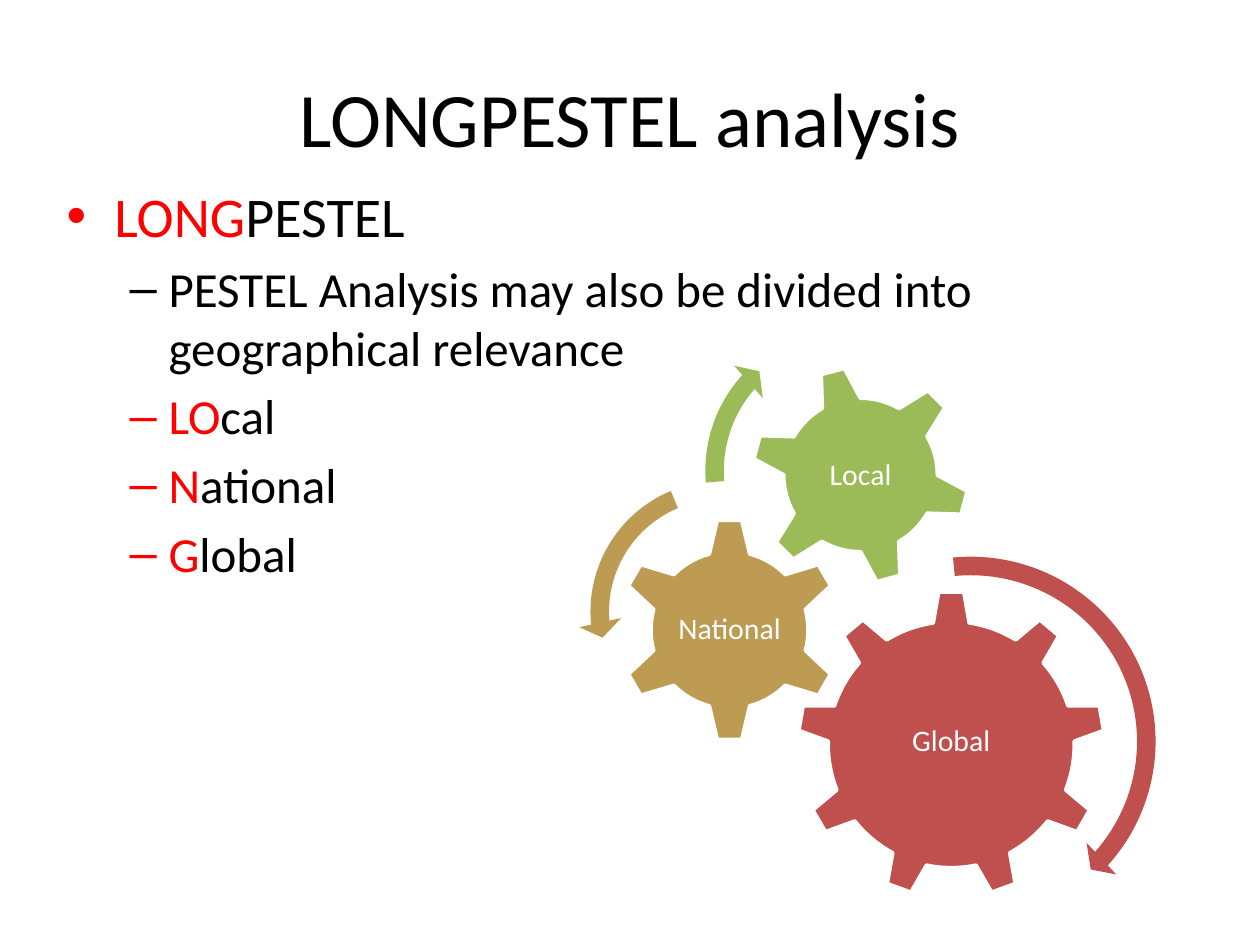
from lxml.etree import SubElement
from pptx import Presentation
from pptx.dml.color import RGBColor
from pptx.enum.shapes import MSO_SHAPE as Preset
from pptx.enum.text import MSO_ANCHOR as Anchor, PP_ALIGN as Align
from pptx.oxml.ns import qn
from pptx.util import Inches, Pt

COLORS = {"black": "000000", "white": "FFFFFF", "accent": "FF0000",
          "global": "C0504D", "national": "BD9B53", "local": "9BBB59"}
FONT = "Calibri"

TITLE = "LONGPESTEL analysis"
# level, highlighted start, remaining text
BULLETS = [
    (0, "LONG", "PESTEL"),
    (1, "", "PESTEL Analysis may also be divided into geographical relevance"),
    (1, "LO", "cal"),
    (1, "N", "ational"),
    (1, "G", "lobal"),
]
# bullet sign, text size, left margin, hanging indent for each level
LEVELS = [("•", 32, 0.38, 0.38), ("–", 28, 0.81, 0.31)]

# label, colour, preset, (left, top, side), rotation, label box
GEARS = [
    ("Global", "global", Preset.GEAR_9, (6.33, 4.69, 2.44), 0, (6.82, 5.26, 1.46, 1.26)),
    ("National", "national", Preset.GEAR_6, (4.9, 4.11, 1.78), 0, (5.35, 4.56, 0.88, 0.88)),
    ("Local", "local", Preset.GEAR_6, (5.96, 2.9, 1.74), 345, (6.34, 3.29, 0.98, 0.98)),
]
# colour, preset, (left, top, side), band %, three angles in degrees, head %
ARROWS = [
    ("global", Preset.CIRCULAR_ARROW, (6.14, 4.32, 3.13), 4.7, (4.98, 41.89, 264.47), 5.5),
    ("national", Preset.LEFT_CIRCULAR_ARROW, (4.59, 3.72, 2.27), 6.5, (7.17, 174.82, 247.3), 7.5),
    ("local", Preset.CIRCULAR_ARROW, (5.5, 2.51, 2.45), 6, (6.57, 221.9, 175.14), 7),
]
ANGLE_UNIT = 0.6  # adjustment value of one degree


def color(name):
    return RGBColor.from_string(COLORS[name])


def add_span(para, text, size, name):
    span = para.add_run()
    span.text = text
    span.font.name, span.font.size = FONT, Pt(size)
    span.font.color.rgb = color(name)


def add_box(parent, place, anchor=Anchor.TOP):
    frame = parent.shapes.add_textbox(*map(Inches, place)).text_frame
    frame.word_wrap, frame.vertical_anchor = True, anchor
    return frame


def add_square(parent, preset, place, fill):
    left, top, side = map(Inches, place)
    shape = parent.shapes.add_shape(preset, left, top, side, side)
    shape.shadow.inherit = False
    shape.fill.solid()
    shape.fill.fore_color.rgb = color(fill)
    return shape


def set_bullet(para, level):
    sign, size, margin, hang = LEVELS[level]
    para.level = level
    para.space_before = Pt(size * 0.2)
    props = para._p.get_or_add_pPr()
    props.set("marL", str(Inches(margin)))
    props.set("indent", str(-Inches(hang)))
    SubElement(props, qn("a:buFont"), typeface="Arial")
    SubElement(props, qn("a:buChar"), char=sign)


deck = Presentation()
deck.slide_width, deck.slide_height = Inches(10), Inches(7.5)
page = deck.slides.add_slide(deck.slide_layouts[6])

# Title
para = add_box(page, (0.5, 0.3, 9, 1.25), Anchor.MIDDLE).paragraphs[0]
para.alignment = Align.CENTER
add_span(para, TITLE, 44, "black")

# Bullet list
body = add_box(page, (0.43, 1.39, 9, 4.95))
for index, (level, start, rest) in enumerate(BULLETS):
    para = body.add_paragraph() if index else body.paragraphs[0]
    set_bullet(para, level)
    if start:
        add_span(para, start, LEVELS[level][1], "accent")
    add_span(para, rest, LEVELS[level][1], "black")

# Gears with labels
diagram = page.shapes.add_group_shape()
for label, fill, preset, place, rotation, label_place in GEARS:
    gear = add_square(diagram, preset, place, fill)
    gear.rotation = rotation
    gear.line.color.rgb = color("white")
    gear.line.width = Pt(2)

    frame = add_box(diagram, label_place, Anchor.MIDDLE)
    frame.margin_left = frame.margin_right = Inches(0.02)
    frame.margin_top = frame.margin_bottom = Inches(0.02)
    para = frame.paragraphs[0]
    para.alignment, para.line_spacing = Align.CENTER, 0.9
    add_span(para, label, 17, "white")

# Turning arrows
for fill, preset, place, band, angles, head in ARROWS:
    arrow = add_square(diagram, preset, place, fill)
    arrow.line.fill.background()
    values = [band / 100, *(angle * ANGLE_UNIT for angle in angles), head / 100]
    for index, value in enumerate(values):
        arrow.adjustments[index] = value

deck.save("out.pptx")
